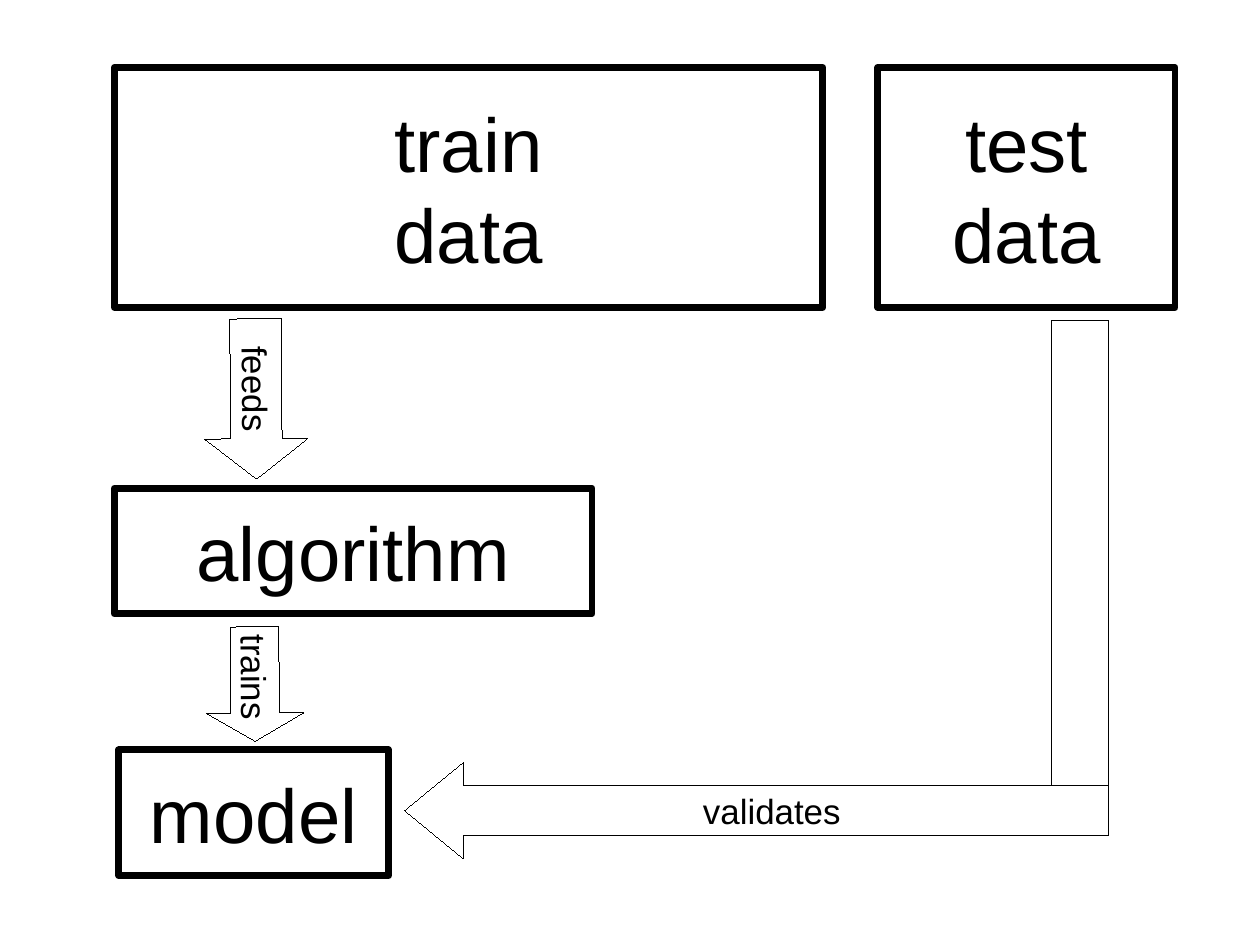
from pptx import Presentation, util as u
from pptx.dml.color import RGBColor
from pptx.enum import shapes, text
from pptx.oxml import ns

HUES = {"ink": "000000", "paper": "FFFFFF"}
KINDS = shapes.MSO_SHAPE
LEFT, TOP = 9.07, 7.14
TALL, LOW = 25.4, 13.3


class Board:
    """Style and current slide; boxes are (left, top, width, height) in percent of the slide."""

    face = "Arial"
    thick = 4.31
    thin = 0

    def __init__(self, deck):
        self.wide, self.high = deck.slide_width, deck.slide_height
        self.slide = deck.slides.add_slide(deck.slide_layouts[6])

    def hue(self, name):
        return RGBColor.from_string(HUES[name])

    def shape(self, kind, box, line, fill=None):
        x, y, w, h = (round(part * side / 100) for part, side in
                      zip(box, (self.wide, self.high) * 2))
        item = self.slide.shapes.add_shape(kind, x, y, w, h)
        item.shadow.inherit = False
        if fill:
            item.fill.solid()
            item.fill.fore_color.rgb = self.hue(fill)
        else:
            item.fill.background()
        item.line.color.rgb = self.hue("ink")
        # line.width drops a zero, which would let the theme width through
        edge = item.element.spPr.find(ns.qn("a:ln"))
        edge.set("w", str(u.Pt(line)))
        return item

    def label(self, item, words, size, pad):
        """Centre words in item; pad is its side and top inset in inches."""
        frame = item.text_frame
        frame.word_wrap = False
        frame.vertical_anchor = text.MSO_ANCHOR.MIDDLE
        frame.margin_left = frame.margin_right = u.Inches(pad[0])
        frame.margin_top = frame.margin_bottom = u.Inches(pad[1])
        para = frame.paragraphs[0]
        para.text = words
        para.alignment = text.PP_ALIGN.CENTER
        para.font.name = self.face
        para.font.size = u.Pt(size)
        para.font.color.rgb = self.hue("ink")

    def block(self, words, *box):
        item = self.shape(KINDS.RECTANGLE, box, self.thick)
        self.label(item, words, 48, (0.13, 0.08))

    def arrow(self, words, kind, box, shaft, head, turn=0, fill=None):
        item = self.shape(kind, box, self.thin, fill)
        item.adjustments[0] = shaft
        item.adjustments[1] = head
        item.rotation = turn
        self.label(item, words, 22, (0.1, 0.05))

    def stem(self, *box):
        self.shape(KINDS.RECTANGLE, box, self.thin)


def main():
    deck = Presentation()
    deck.slide_width, deck.slide_height = u.Cm(28), u.Cm(21)
    board = Board(deck)

    board.block("train\vdata", LEFT, TOP, 56.24, TALL)
    board.block("algorithm", LEFT, 51.65, 37.92, LOW)
    board.block("model", 9.43, 79.35, 21.41, LOW)
    board.arrow("feeds", KINDS.RIGHT_ARROW, (13.97, 36.77, 12.7, 10.89),
                0.5, 0.39, turn=89.6)
    board.arrow("trains", KINDS.RIGHT_ARROW, (15.69, 67.25, 9.07, 10.28),
                0.5, 0.29, turn=89.7)
    board.block("test\vdata", 69.67, TOP, 23.59, TALL)
    board.stem(83.46, 33.87, 4.54, 54.43)
    board.arrow("validates", KINDS.LEFT_ARROW, (32.11, 80.68, 55.88, 10.16),
                0.52, 0.61, fill="paper")

    deck.save("out.pptx")


if __name__ == "__main__":
    main()
